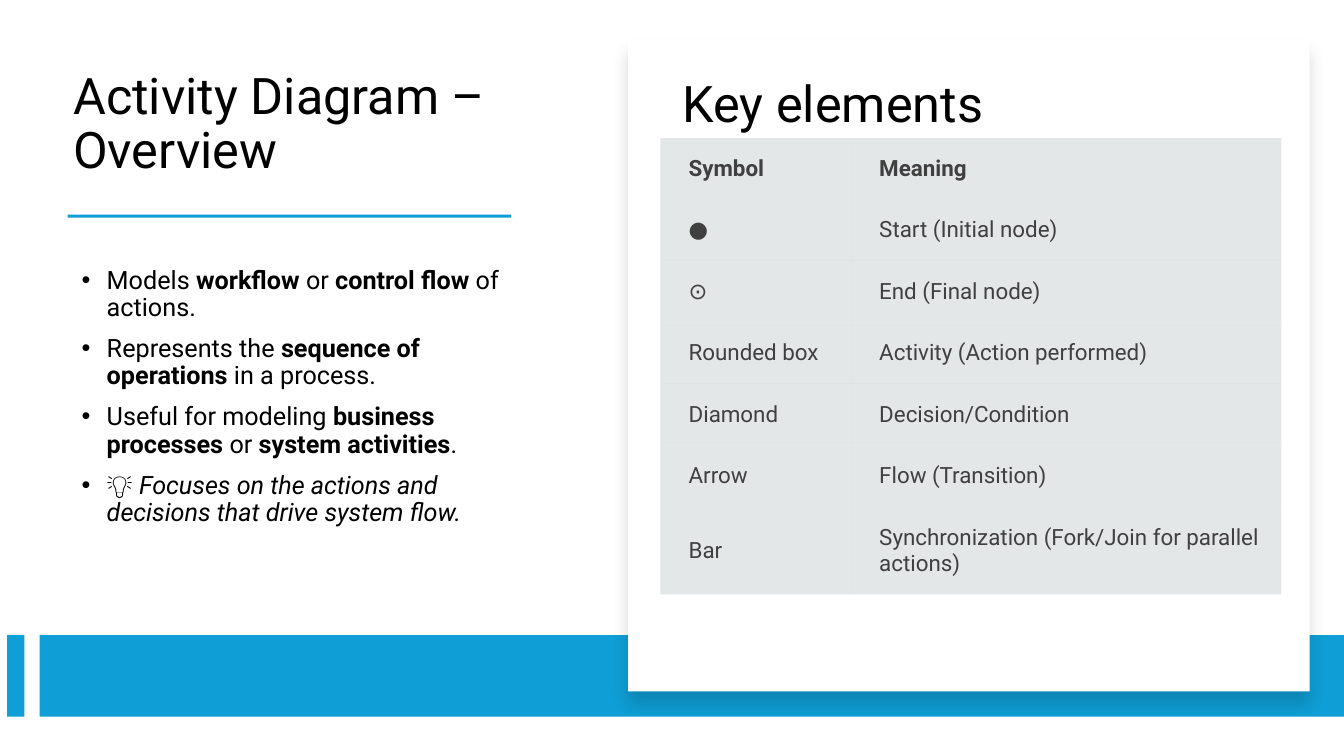
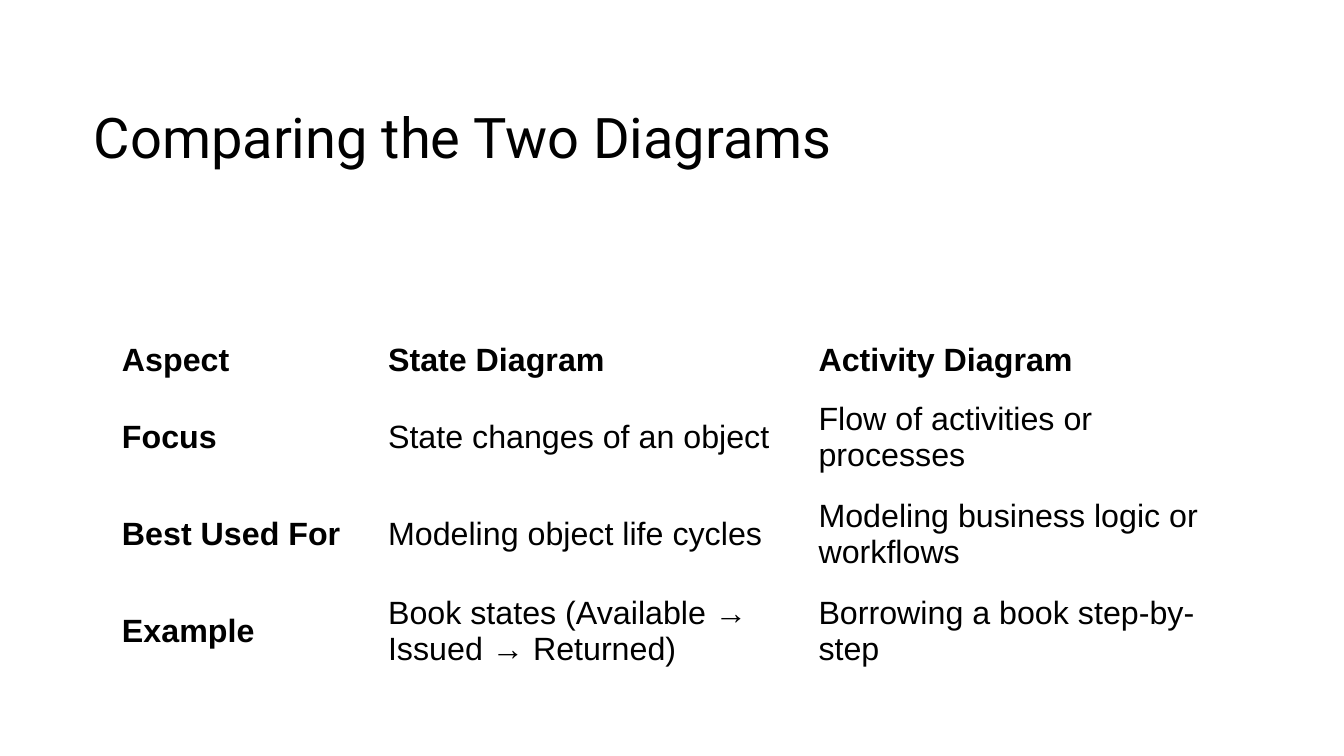
from lxml.etree import SubElement
from pptx import Presentation
from pptx.dml.color import RGBColor
from pptx.enum.shapes import MSO_SHAPE
from pptx.enum.text import MSO_ANCHOR, MSO_AUTO_SIZE, PP_ALIGN
from pptx.oxml.ns import qn
from pptx.util import Inches, Pt

WIDE, HIGH = Inches(13.33), Inches(7.5)
BLUE, WHITE, BLACK, DARK, GREY = "0F9ED5", "FFFFFF", "000000", "404040", "B4BCBE"
HEAD = "Roboto"
PLAIN = "{2D5ABB26-0587-4C30-8999-92F81FD0307C}"

POINTS = [
    "Models *workflow* or *control flow* of actions.",
    "Represents the *sequence of operations* in a process.",
    "Useful for modeling *business processes* or *system activities*.",
    "💡 ~Focuses on the actions and decisions that drive system flow.~",
]
SYMBOLS = [
    ["*Symbol*", "*Meaning*"],
    ["●", "Start (Initial node)"],
    ["⊙", "End (Final node)"],
    ["Rounded box", "Activity (Action performed)"],
    ["Diamond", "Decision/Condition"],
    ["Arrow", "Flow (Transition)"],
    ["Bar", "Synchronization (Fork/Join for parallel actions)"],
]
ASPECTS = [
    ["*Aspect*", "*State Diagram*", "*Activity Diagram*"],
    ["*Focus*", "State changes of an object", "Flow of activities or processes"],
    ["*Best Used For*", "Modeling object life cycles",
     "Modeling business logic or workflows"],
    ["*Example*", "Book states (Available → Issued → Returned)",
     "Borrowing a book step-by-step"],
]


def paint(hue):
    """Turn a hex string into a colour."""
    return RGBColor.from_string(hue)


def across(share):
    """Give a percentage of the slide's width."""
    return int(WIDE * share / 100)


def down(share):
    """Give a percentage of the slide's height."""
    return int(HIGH * share / 100)


def area(left, top, width, height):
    """Turn percentages of the slide into a position and size."""
    return across(left), down(top), across(width), down(height)


def dot(para):
    """Give a paragraph a hanging bullet."""
    props = para._p.get_or_add_pPr()
    props.set("marL", str(Inches(0.25)))
    props.set("indent", str(-Inches(0.25)))
    SubElement(props, qn("a:buFont")).set("typeface", "Arial")
    SubElement(props, qn("a:buChar")).set("char", "•")


def write(frame, *lines, size=18, font=HEAD, hue=BLACK, space=None,
          before=0, bullet=False):
    """Fill a frame, with *bold* and ~italic~ marks."""
    frame.word_wrap = True
    for row, line in enumerate(lines):
        para = frame.add_paragraph() if row else frame.paragraphs[0]
        para.alignment = PP_ALIGN.LEFT
        para.line_spacing = space
        para.space_before = Pt(before)
        if bullet:
            dot(para)
        for bold, part in enumerate(line.split("*")):
            for slant, words in enumerate(part.split("~")):
                if words:
                    run = para.add_run()
                    run.text = words
                    face = run.font
                    face.size, face.name = Pt(size), font
                    face.bold, face.italic = bold % 2 == 1, slant % 2 == 1
                    face.color.rgb = paint(hue)


def head(slide, text, place, size=36, anchor=MSO_ANCHOR.BOTTOM):
    """Place and format the slide's title."""
    title = slide.shapes.title
    title.left, title.top, title.width, title.height = area(*place)
    frame = title.text_frame
    frame.auto_size, frame.vertical_anchor = MSO_AUTO_SIZE.NONE, anchor
    write(frame, text, size=size, space=0.9)
    return title


def note(slide, place, *lines, anchor=MSO_ANCHOR.MIDDLE, **style):
    """Add a text box."""
    frame = slide.shapes.add_textbox(*area(*place)).text_frame
    frame.vertical_anchor = anchor
    write(frame, *lines, space=0.9, **style)


def block(slide, place, hue):
    """Add a plain filled rectangle."""
    shape = slide.shapes.add_shape(MSO_SHAPE.RECTANGLE, *area(*place))
    shape.shadow.inherit = False
    shape.fill.solid()
    shape.fill.fore_color.rgb = paint(hue)
    shape.line.fill.background()
    return shape


def fade(node, share):
    """Make a colour node see-through, as a percentage of opacity."""
    SubElement(node, qn("a:alpha")).set("val", str(share * 1000))


def shade(shape, share, blur, drop):
    """Cast a soft shadow straight down."""
    effect = shape.element.spPr.find(qn("a:effectLst"))
    cast = SubElement(effect, qn("a:outerShdw"), blurRad=str(Pt(blur)),
                      dist=str(Pt(drop)), dir="5400000", rotWithShape="0")
    fade(SubElement(cast, qn("a:srgbClr"), val=BLACK), share)


def grid(slide, left, top, cols, rows, data, pads, fill=None, **style):
    """Add a table with plain or lightly tinted cells."""
    place = area(left, top, sum(cols), sum(rows))
    table = slide.shapes.add_table(len(rows), len(cols), *place).table
    table.first_row = table.horz_banding = False
    table._tbl.tblPr.find(qn("a:tableStyleId")).text = PLAIN
    for col, width in zip(table.columns, cols):
        col.width = across(width)
    for row, height, texts in zip(table.rows, rows, data):
        row.height = down(height)
        for cell, text in zip(row.cells, texts):
            cell.vertical_anchor = MSO_ANCHOR.MIDDLE
            (cell.margin_left, cell.margin_top, cell.margin_right,
             cell.margin_bottom) = map(Inches, pads)
            if fill:
                cell.fill.solid()
                cell.fill.fore_color.rgb = paint(fill)
                fade(cell._tc.tcPr.find(".//" + qn("a:srgbClr")), 35)
            else:
                cell.fill.background()
            write(cell.text_frame, text, **style)


def survey(slide):
    """Build the overview of activity diagrams."""
    head(slide, "Activity Diagram – Overview", (4.7, 6.93, 35.1, 17.47))
    block(slide, (5.03, 28.4, 33, 0.4), BLUE)
    note(slide, (5.33, 29.6, 35.1, 45.87), *POINTS, before=10, bullet=True)
    for left, width in ((0.53, 1.28), (2.96, 97.04)):
        block(slide, (left, 84, width, 10.8), BLUE)
    panel = block(slide, (46.74, 5.2, 50.7, 86.27), WHITE)
    shade(panel, 15, 11, 10)
    grid(slide, 49.14, 18.27, [14.18, 32.03], [8.13] * 6 + [11.6], SYMBOLS,
         (0.28, 0.15, 0.15, 0.15), fill=GREY, size=16, hue=DARK)
    note(slide, (50.04, 0.8, 35.1, 17.47), "Key elements", size=36,
         anchor=MSO_ANCHOR.BOTTOM)


def compare(slide):
    """Build the comparison of both diagrams."""
    title = head(slide, "Comparing the Two Diagrams", (6.23, 6.8, 81.77, 23.6),
                 size=40, anchor=MSO_ANCHOR.MIDDLE)
    band = block(slide, (0, 0, 100, 37.07), WHITE)
    title.element.addprevious(band.element)
    grid(slide, 8.1, 43.87, [19.8, 32.03, 31.96], [7.6] + [12.8] * 3, ASPECTS,
         (0.13, 0.06, 0.13, 0.06), size=23, font="Arial")


def main():
    """Build and save the deck."""
    deck = Presentation()
    deck.slide_width, deck.slide_height = WIDE, HIGH
    for build in (survey, compare):
        build(deck.slides.add_slide(deck.slide_layouts[5]))
    deck.save("out.pptx")


if __name__ == "__main__":
    main()
